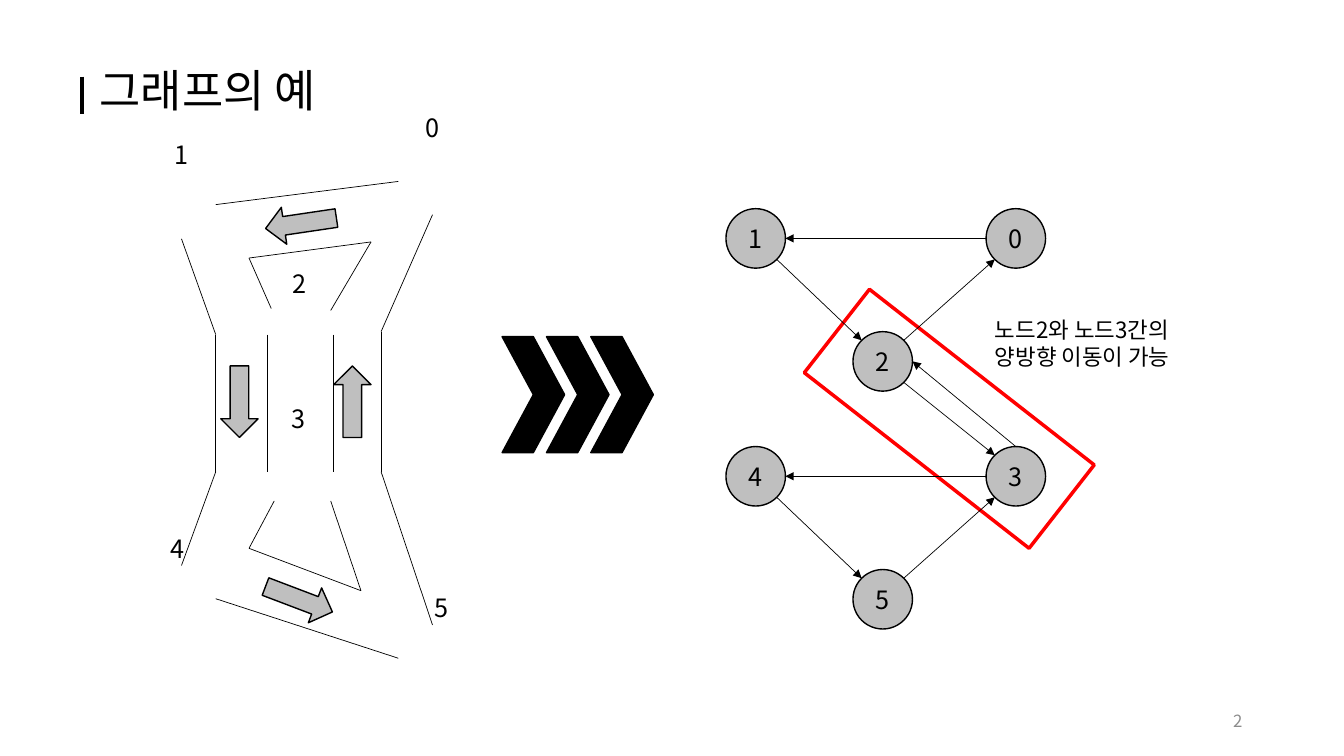
from math import sqrt

from lxml import etree
from pptx import Presentation
from pptx import util as u
from pptx.dml.color import RGBColor
from pptx.enum import shapes, text
from pptx.oxml.ns import qn

FONT = "Noto Sans CJK KR"
COLORS = {"ink": "000000", "gray": "BFBFBF", "red": "FF0000", "page": "8C8C8C"}

TITLE = "그래프의 예"
NOTE = ["노드2와 노드3간의", "양방향 이동이 가능"]
PAGE = "2"

# Road edges, each a chain of points
ROADS = [
    [(3.95, 1.8), (2.14, 2.03)],
    [(2.65, 3.32), (2.65, 4.68)],
    [(3.31, 3.32), (3.31, 4.68)],
    [(1.8, 2.37), (2.14, 3.32), (2.14, 4.68), (1.8, 5.61)],
    [(2.14, 5.94), (3.95, 6.53)],
    [(4.29, 2.13), (3.78, 3.29), (3.78, 4.68), (4.29, 6.2)],
    [(2.69, 3.06), (2.47, 2.56), (3.68, 2.4), (3.28, 3.08)],
    [(2.72, 4.97), (2.47, 5.44), (3.58, 5.86), (3.28, 4.97)],
]
# Left, top, clockwise turn of a right arrow
TRAFFIC = [(2.63, 2.03, 171.6), (2.02, 3.8, 90), (2.61, 5.76, 20.8), (3.14, 3.8, 270)]
CROSSINGS = {"0": (4.12, 1.07), "1": (1.63, 1.33), "2": (2.8, 2.61),
             "3": (2.79, 3.95), "4": (1.59, 5.24), "5": (4.21, 5.83)}

NODE_SIZE = 0.59
LEFT, MIDDLE, RIGHT = 7.2, 8.46, 9.78
NODES = {"1": (LEFT, 2.07), "0": (RIGHT, 2.07), "2": (MIDDLE, 3.29),
         "3": (RIGHT, 4.43), "4": (LEFT, 4.43), "5": (MIDDLE, 5.65)}
# Start node, side it leaves from, end node, side it reaches
N, E, W = (0, -1), (1, 0), (-1, 0)
NE, SE, SW, NW = (1, -1), (1, 1), (-1, 1), (-1, -1)
EDGES = [
    ("0", W, "1", E), ("1", SE, "2", NW), ("2", NE, "0", SW), ("2", SE, "3", NW),
    ("3", N, "2", E), ("3", W, "4", E), ("4", SE, "5", NW), ("5", NE, "3", SW),
]

prs = Presentation()
prs.slide_width, prs.slide_height = u.Inches(13.33), u.Inches(7.5)
slide = prs.slides.add_slide(prs.slide_layouts[6])


def color(name):
    return RGBColor.from_string(COLORS[name])


def write(frame, lines, size, ink="ink", align=text.PP_ALIGN.LEFT,
          anchor=text.MSO_ANCHOR.TOP, spacing=None):
    frame.word_wrap = True
    frame.vertical_anchor = anchor
    for i, line in enumerate(lines):
        paragraph = frame.add_paragraph() if i else frame.paragraphs[0]
        paragraph.alignment = align
        paragraph.line_spacing = spacing
        run = paragraph.add_run()
        run.text = line
        for key, value in {"name": FONT, "size": u.Pt(size)}.items():
            setattr(run.font, key, value)
        run.font.color.rgb = color(ink)
        etree.SubElement(run.font._element, qn("a:ea")).set("typeface", FONT)


def add_label(box, lines, size, **options):
    label = slide.shapes.add_textbox(*map(u.Inches, box))
    write(label.text_frame, lines, size, **options)


def add_line(start, end, width=0.5, arrow=False):
    line = slide.shapes.add_connector(
        shapes.MSO_CONNECTOR.STRAIGHT, *map(u.Inches, (*start, *end)))
    line.line.width = u.Pt(width)
    line.line.color.rgb = color("ink")
    if arrow:
        etree.SubElement(line.line._get_or_add_ln(), qn("a:tailEnd")).set("type", "triangle")
    etree.SubElement(line._element.spPr, qn("a:effectLst"))


def add_figure(kind, box, fill=None, ink="ink", width=1, turn=0):
    figure = slide.shapes.add_shape(kind, *map(u.Inches, box))
    figure.shadow.inherit = False
    figure.rotation = turn
    if fill:
        figure.fill.solid()
        figure.fill.fore_color.rgb = color(fill)
    else:
        figure.fill.background()
    figure.line.color.rgb = color(ink)
    figure.line.width = u.Pt(width)
    return figure


def rim(node, side):
    """Point on a node's circle that faces the given side."""
    radius = NODE_SIZE / 2
    reach = radius / sqrt(side[0] ** 2 + side[1] ** 2)
    return [corner + radius + step * reach for corner, step in zip(NODES[node], side)]


add_label((0.89, 0.63, 5.77, 0.64), [TITLE], 32, spacing=0.9)
add_line((0.81, 0.76), (0.81, 1.13), width=3)
add_label((9.42, 6.95, 3, 0.4), [PAGE], 12, ink="page",
          align=text.PP_ALIGN.RIGHT, anchor=text.MSO_ANCHOR.MIDDLE)

for road in ROADS:
    for start, end in zip(road, road[1:]):
        add_line(start, end)
for left, top, turn in TRAFFIC:
    add_figure(shapes.MSO_SHAPE.RIGHT_ARROW, (left, top, 0.71, 0.37), "gray", turn=turn)
for name, corner in CROSSINGS.items():
    add_label((*corner, 0.3, 0.4), [name], 18)

for i in range(3):
    add_figure(shapes.MSO_SHAPE.CHEVRON, (4.98 + 0.44 * i, 3.34, 0.62, 1.15), "ink")

add_figure(shapes.MSO_SHAPE.RECTANGLE, (8, 3.63, 2.83, 1.05), ink="red", width=2.5, turn=38)
add_label((9.77, 3.09, 3.28, 0.64), NOTE, 16)
for name, corner in NODES.items():
    node = add_figure(shapes.MSO_SHAPE.OVAL, (*corner, NODE_SIZE, NODE_SIZE), "gray")
    write(node.text_frame, [name], 18, align=text.PP_ALIGN.CENTER,
          anchor=text.MSO_ANCHOR.MIDDLE)
for source, leave, target, reach in EDGES:
    add_line(rim(source, leave), rim(target, reach), arrow=True)

prs.save("out.pptx")
